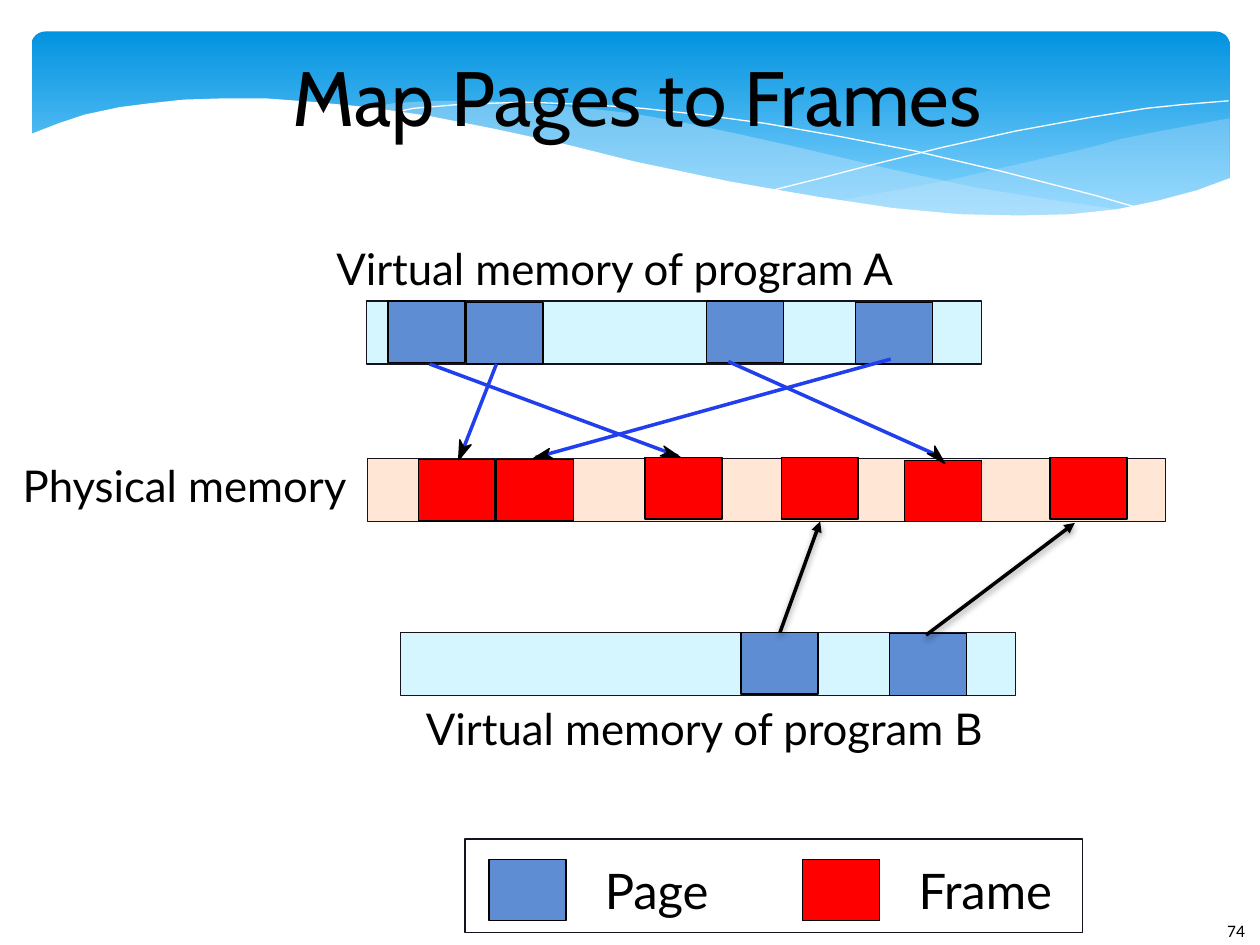
from typing import NamedTuple

from lxml import etree
from pptx import Presentation
from pptx import util as u
from pptx.dml.color import RGBColor
from pptx.enum import shapes, text
from pptx.oxml import ns

Pt = u.Pt
HUES = {
    "black": "000000", "white": "FFFFFF", "edge": "15111D",
    "sky": "0293E0", "haze": "83D3FE", "mist": "C6E7FC",
    "virtual": "D5F6FF", "real": "FFE6D5",
    "page": "5F8DD3", "frame": "FF0000", "link": "213FEC",
}
CELL = (44, 35.2)
Spot = tuple[float, float]


class Bar(NamedTuple):
    x: float
    y: float
    w: float
    h: float
    fill: str | None


class Row(NamedTuple):
    bar: Bar
    kind: str
    cells: list[Spot]


class Label(NamedTuple):
    words: str
    x: float
    y: float
    w: float
    h: float
    size: float = 25
    font: str = "Lato"


class Wave(NamedTuple):
    spots: list[Spot]
    fill: str | None = None
    alpha: int = 100


class Link(NamedTuple):
    start: Spot
    end: Spot
    head: list[Spot]


WAVES = [
    Wave([(702, 67.7), (682.6, 71.3), (663, 74.9), (641.5, 79.2), (620, 85),
          (579.6, 94.3), (542.2, 103), (508.3, 109.4), (476, 115.2),
          (497.5, 118.1), (517.7, 120.2), (536.4, 121.7), (562.3, 123.8),
          (593.3, 123.8), (621.4, 122.4), (640, 119.5), (663, 115.2),
          (683.3, 109.4), (702.7, 101.5), (702.7, 67.7)], "mist", 29),
    Wave([(643, 120.2), (602.6, 114.5), (558, 107.3), (508.3, 96.5),
          (452.9, 83.5), (420.5, 76.3), (389.5, 69.8), (361.4, 64.8),
          (334.8, 61.9), (302.4, 59), (273.6, 57.6), (247.7, 57.6),
          (225.4, 59), (205.9, 61.9), (232.6, 64.8), (260.6, 69.8),
          (290.9, 76.3), (323.3, 83.5), (381.6, 97.2), (432.7, 108),
          (468, 113.8), (500.4, 118.8), (529.9, 121.7), (556.6, 123.8),
          (589, 124.6), (617, 123.1)], "mist", 40),
    Wave([(222.5, 64.8), (236.2, 61.9), (261.4, 59.8), (299.5, 58.3),
          (337.7, 59.8), (367.2, 61.9), (400.3, 65.5), (437.8, 70.6),
          (478.8, 77.8), (523.4, 86.4), (572.4, 97.9), (625.7, 111.6),
          (653, 119.5)]),
    Wave([(441.4, 108.7), (470.2, 101.5), (500.4, 93.6), (538.6, 84.2),
          (580.3, 74.9), (623.5, 67), (655.2, 61.9), (675.4, 59.8),
          (702, 57.6)]),
    Wave([(703.4, 101.5), (684, 108.7), (662.4, 114.5), (638.6, 119.5),
          (612, 122.4), (582.5, 123.1), (547.9, 122.4), (509.8, 118.8),
          (466.6, 112.3), (416.9, 103.7), (362.2, 92.2), (321.8, 82.1),
          (281.5, 73.4), (244.8, 66.2), (210.2, 61.2), (180, 58.3),
          (151.9, 56.2), (127.4, 56.2), (105.1, 56.9), (85.7, 59),
          (68.4, 61.2), (48.2, 65.5), (33.1, 70.6), (16.6, 77),
          (16.6, 161), (703.4, 161)], "white"),
]
ROWS = [
    Row(Bar(209.5, 172, 351.5, 36, "virtual"), "page",
        [(221.8, 172), (266.4, 172.8), (403.9, 172), (488.9, 172.8)]),
    Row(Bar(210.2, 262, 455.8, 36, "real"), "frame",
        [(239, 262.5), (283.7, 262.5), (368.6, 261.5), (446.4, 261.5),
         (517, 263), (600, 261.5)]),
    Row(Bar(229, 361.4, 351.4, 36, "virtual"), "page",
        [(423.4, 361.4), (508.3, 362.2)]),
    Row(Bar(265.7, 479.5, 352.8, 53.3, None), "page", [(279.4, 491)]),
]
LABELS = [
    Label("Virtual memory of program A", 192.2, 138.2, 321, 30.2),
    Label("Physical memory", 13, 262, 201.6, 33),
    Label("Virtual memory of program B", 243.4, 401, 321, 30.2),
    Label("Page", 345.6, 491.8, 77.8, 37.4, 28),
    Label("Frame", 524.9, 491.8, 93.6, 37.4, 28),
    Label("74", 701.3, 525.6, 16, 16, 10, "Calibri"),
]
LINKS = [
    Link((245.5, 208), (387.4, 260.6),
         [(381.6, 258.5), (377.3, 260.6), (388.8, 261.4), (379.4, 254.9)]),
    Link((283.7, 208), (262.8, 261.4),
         [(265, 255.6), (262.8, 251.3), (262.1, 262.8), (269.3, 254.2)]),
    Link((509, 205.2), (306, 261.4),
         [(312.5, 259.9), (313.9, 256.3), (304.6, 262.1), (316.1, 262.1)]),
    Link((416.2, 206.6), (533.5, 259.2),
         [(534.2, 259.2), (529.9, 259.2), (540, 265), (534.2, 254.9)]),
]
ARROWS = [((445.7, 361.4), (468.7, 298)), ((529.2, 362.9), (614.2, 298.8))]


def hue(name: str) -> RGBColor:
    return RGBColor.from_string(HUES[name])


def add(node, tag: str, **attrs):
    return etree.SubElement(node, ns.qn(tag), attrs)


def paint(shape, fill: str | None, edge: str | None) -> None:
    shape.shadow.inherit = False
    if fill:
        shape.fill.solid()
        shape.fill.fore_color.rgb = hue(fill)
    else:
        shape.fill.background()
    if edge:
        shape.line.color.rgb = hue(edge)
        shape.line.width = Pt(0)
    else:
        shape.line.fill.background()


def box(slide, bar: Bar, edge: str) -> None:
    rect = slide.shapes.add_shape(shapes.MSO_SHAPE.RECTANGLE, *map(Pt, bar[:4]))
    paint(rect, bar.fill, edge)


def trace(slide, spots: list[Spot], closed: bool = True):
    pts = [(Pt(x), Pt(y)) for x, y in spots]
    pen = slide.shapes.build_freeform(*pts[0])
    pen.add_line_segments(pts[1:], close=closed)
    return pen.convert_to_shape()


def banner(slide) -> None:
    """Draw the blue header with its waves."""
    sky = slide.shapes.add_shape(
        shapes.MSO_SHAPE.ROUNDED_RECTANGLE, Pt(18), Pt(18), Pt(684.7), Pt(112.3))
    sky.adjustments[0] = 0.07
    paint(sky, "sky", None)
    sky.fill.gradient()
    sky.fill.gradient_angle = 270
    for stop, name, place in zip(sky.fill.gradient_stops, ("sky", "haze"), (0, 0.9)):
        stop.color.rgb = hue(name)
        stop.position = place
    for wave in WAVES:
        shape = trace(slide, wave.spots, wave.fill is not None)
        paint(shape, wave.fill, None if wave.fill else "white")
        if wave.alpha < 100:
            tint = shape.fill._xPr.find(".//" + ns.qn("a:srgbClr"))
            add(tint, "a:alpha", val=str(wave.alpha * 1000))


def write(slide, label: Label):
    area = slide.shapes.add_textbox(*map(Pt, label[1:5]))
    frame = area.text_frame
    frame.margin_left = frame.margin_right = frame.margin_top = frame.margin_bottom = 0
    frame.word_wrap = False
    frame.text = label.words
    font = frame.paragraphs[0].runs[0].font
    font.size, font.name = Pt(label.size), label.font
    font.color.rgb = hue("black")
    return frame


def join(slide, start: Spot, end: Spot, name: str, width: float):
    """Draw a straight line and return its empty effect list."""
    line = slide.shapes.add_connector(
        shapes.MSO_CONNECTOR.STRAIGHT, *map(Pt, start + end))
    line.line.color.rgb = hue(name)
    line.line.width = Pt(width)
    return add(line._element.spPr, "a:effectLst")


def arrow(slide, start: Spot, end: Spot) -> None:
    glow = join(slide, start, end, "black", 2)
    add(glow.getprevious(), "a:tailEnd", type="triangle")
    shade = add(glow, "a:outerShdw", blurRad=str(Pt(4)), dist=str(Pt(2)),
                dir="5400000", rotWithShape="0")
    tint = add(shade, "a:srgbClr", val=HUES["black"])
    add(tint, "a:alpha", val="38000")


def main() -> None:
    deck = Presentation()
    deck.slide_width, deck.slide_height = Pt(720), Pt(540)
    slide = deck.slides.add_slide(deck.slide_layouts[6])
    banner(slide)
    title = write(slide, Label("Map Pages to Frames", 72, 18, 584, 73.4, 44, "Cabin"))
    title.word_wrap = True
    title.vertical_anchor = text.MSO_ANCHOR.MIDDLE
    title.paragraphs[0].alignment = text.PP_ALIGN.CENTER
    for row in ROWS:
        box(slide, row.bar, "edge")
        for spot in row.cells:
            box(slide, Bar(*spot, *CELL, row.kind), "black")
    box(slide, Bar(458.6, 491, *CELL, "frame"), "black")
    for label in LABELS:
        write(slide, label)
    for link in LINKS:
        join(slide, link.start, link.end, "link", 0)
        paint(trace(slide, link.head), "black", "black")
    for start, end in ARROWS:
        arrow(slide, start, end)
    deck.save("out.pptx")


if __name__ == "__main__":
    main()
